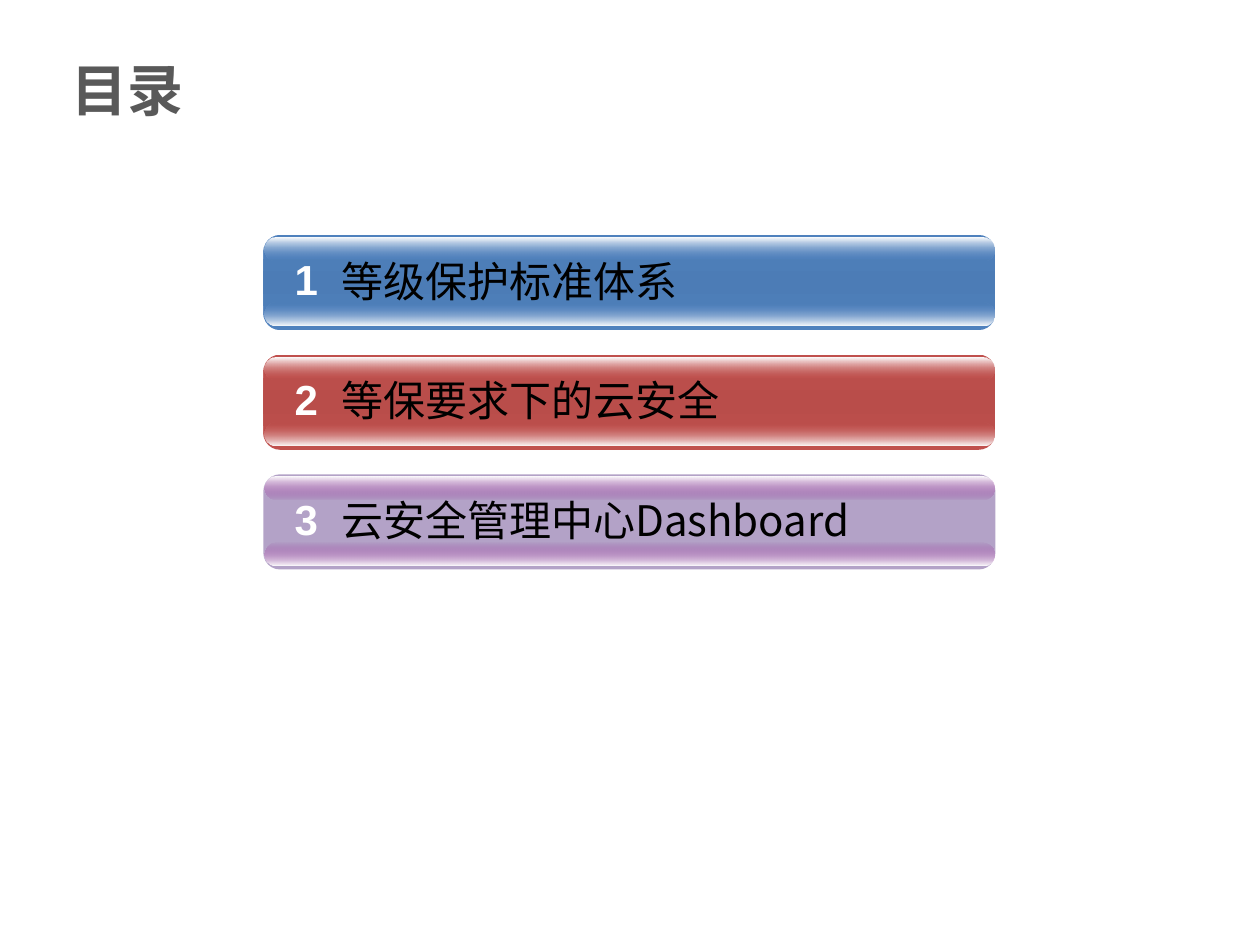
from dataclasses import dataclass

from lxml import etree
from pptx import Presentation
from pptx import util as u
from pptx.dml.color import RGBColor
from pptx.enum import shapes, text
from pptx.oxml.ns import qn

COLUMNS, ROWS = 100, 75
CELL = u.Inches(0.1)


@dataclass(frozen=True)
class Theme:
    title: str = "595959"
    label: str = "000000"
    light: str = "FFFFFF"
    title_size: int = 32
    item_size: int = 24
    chinese: str = "Noto Sans CJK SC"
    latin: str = "Arial"


THEME = Theme()

# Text, gradient stops of the bar (one stop means a plain fill), rim colour
ITEMS = [
    ("等级保护标准体系", ("4F81BD", "4C7CB6", "4F81BD"), "4F81BD"),
    ("等保要求下的云安全", ("C0504D", "B94D4A", "C0504D"), "C0504D"),
    ("云安全管理中心Dashboard", ("B3A2C7",), "800080"),
]
BAR_LEFT, BAR_TOP, BAR_WIDTH, BAR_HEIGHT = 20.9, 18.65, 58.1, 7.55
BAR_PITCH = 9.5
RIM_INSET, RIM_HEIGHT = 0.1, 1.8
RIM_TOP, RIM_BOTTOM = 0.2, 5.4


def cells(*lengths):
    """Turn grid columns and rows into slide lengths."""
    return [round(length * CELL) for length in lengths]


def fill_vertical(shape, stops):
    """Fill from top to bottom with evenly spaced (colour, opacity %) stops."""
    shape.fill.gradient()
    shape.fill.gradient_angle = 270
    stop_list = shape._element.spPr.find(qn("a:gradFill")).find(qn("a:gsLst"))
    for old_stop in list(stop_list):
        stop_list.remove(old_stop)
    for index, (colour, opacity) in enumerate(stops):
        position = 100000 * index // (len(stops) - 1)
        stop = etree.SubElement(stop_list, qn("a:gs"), pos=str(position))
        value = etree.SubElement(stop, qn("a:srgbClr"), val=colour)
        if opacity < 100:
            etree.SubElement(value, qn("a:alpha"), val=str(opacity * 1000))


def add_rounded(parent, box, radius, stops):
    shape = parent.shapes.add_shape(
        shapes.MSO_SHAPE.ROUNDED_RECTANGLE, *cells(*box))
    shape.adjustments[0] = radius
    shape.shadow.inherit = False
    shape.line.fill.background()
    if len(stops) == 1:
        shape.fill.solid()
        shape.fill.fore_color.rgb = RGBColor.from_string(stops[0][0])
    else:
        fill_vertical(shape, stops)


def add_text(parent, content, box, *, size, colour, font, bold=False):
    shape = parent.shapes.add_textbox(*cells(*box))
    frame = shape.text_frame
    frame.word_wrap = True
    frame.auto_size = text.MSO_AUTO_SIZE.SHAPE_TO_FIT_TEXT
    run = frame.paragraphs[0].add_run()
    run.text = content
    run.font.size = u.Pt(size)
    run.font.bold = bold
    run.font.name = font
    run.font.color.rgb = RGBColor.from_string(colour)
    etree.SubElement(run._r.get_or_add_rPr(), qn("a:ea"), typeface=font)


def add_item(slide, index, label, bar_colours, rim_colour):
    """Add one numbered bar with glossy rims at its top and bottom."""
    group = slide.shapes.add_group_shape()
    top = BAR_TOP + index * BAR_PITCH
    add_rounded(group, (BAR_LEFT, top, BAR_WIDTH, BAR_HEIGHT), 0.175,
                [(colour, 100) for colour in bar_colours])

    glow = [(rim_colour, 0), (THEME.light, 100)]
    for offset, stops in ((RIM_BOTTOM, glow), (RIM_TOP, glow[::-1])):
        add_rounded(group, (BAR_LEFT + RIM_INSET, top + offset,
                            BAR_WIDTH - 2 * RIM_INSET, RIM_HEIGHT), 0.5, stops)

    add_text(group, label, (26.1, top + 1.1, 50, 5), size=THEME.item_size,
             colour=THEME.label, font=THEME.chinese)
    add_text(group, str(index + 1), (22.4, top + 1, 4.2, 5),
             size=THEME.item_size, colour=THEME.light, font=THEME.latin,
             bold=True)


def main():
    presentation = Presentation()
    presentation.slide_width = COLUMNS * CELL
    presentation.slide_height = ROWS * CELL
    slide = presentation.slides.add_slide(presentation.slide_layouts[6])

    add_text(slide, "目录", (4.7, 3.9, 42.2, 6.4), size=THEME.title_size,
             colour=THEME.title, font=THEME.chinese, bold=True)
    for index, item in enumerate(ITEMS):
        add_item(slide, index, *item)

    presentation.save("out.pptx")


if __name__ == "__main__":
    main()
